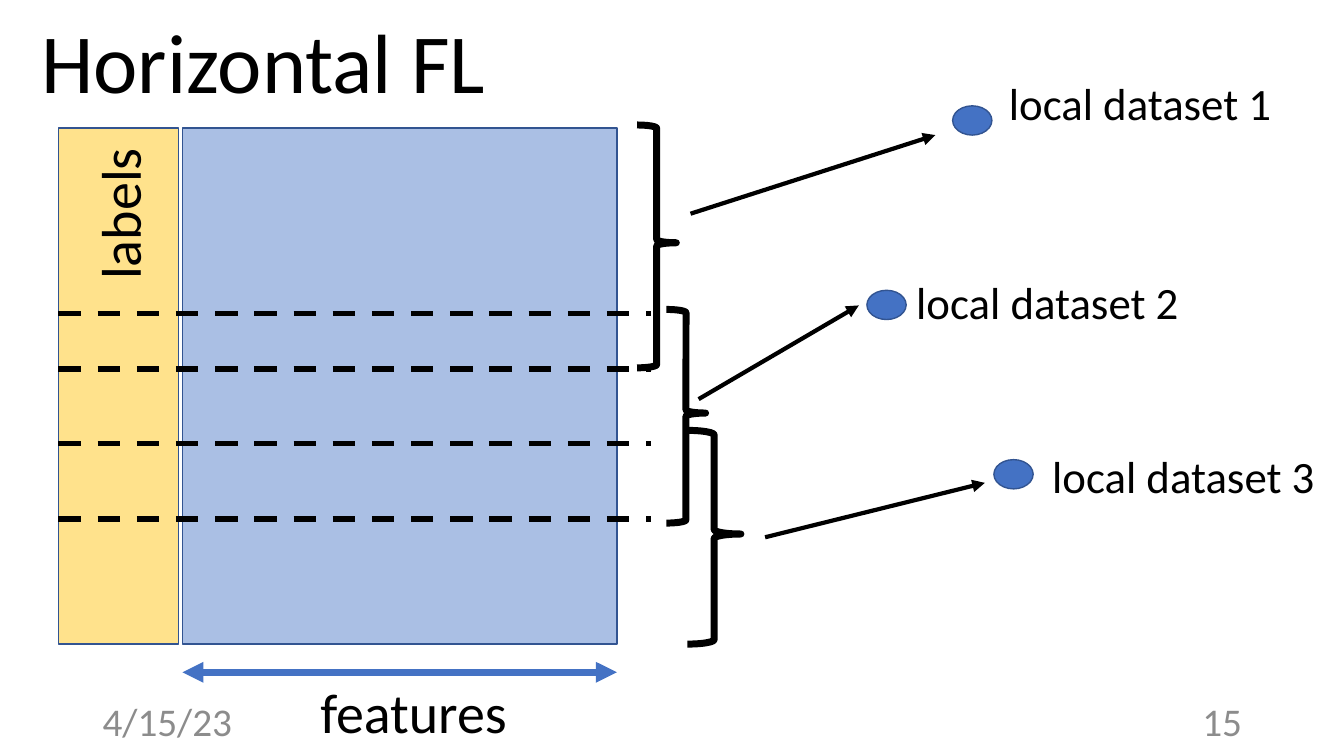
from pptx import Presentation
from pptx.dml.color import RGBColor as RGB
from pptx.enum.dml import MSO_LINE as Dash
from pptx.enum.shapes import MSO_CONNECTOR as Conn, MSO_SHAPE as Kind
from pptx.enum.text import MSO_ANCHOR as Anchor, MSO_AUTO_SIZE as Fit, PP_ALIGN as Align
from pptx.oxml.ns import qn
from pptx.util import Inches, Pt
from lxml.etree import SubElement as Sub

BLACK = RGB(0, 0, 0)
BLUE = RGB(0x44, 0x72, 0xC4)
NAVY = RGB(0x32, 0x54, 0x91)
GOLD = RGB(0xFF, 0xC0, 0x00)
GRAY = RGB(0x8C, 0x8C, 0x8C)
FONT = "Calibri"
WIDE, HIGH = Inches(13.33), Inches(7.5)


# Lengths are percent of the slide's width (x) and height (y)
def scale(box):
    return [int(n * (HIGH if i % 2 else WIDE) / 100) for i, n in enumerate(box)]


def write(shape, text, size, color=BLACK, align=Align.LEFT, anchor=Anchor.TOP):
    frame = shape.text_frame
    frame.auto_size = Fit.NONE
    frame.word_wrap = False
    frame.vertical_anchor = anchor
    para = frame.paragraphs[0]
    para.alignment = align
    run = para.add_run()
    run.text = text
    run.font.name = FONT
    run.font.size = Pt(size)
    run.font.color.rgb = color
    return frame


def label(slide, box, text, size, **look):
    return write(slide.shapes.add_textbox(*scale(box)), text, size, **look)


def draw(slide, kind, box, fill, edge=NAVY, width=1, alpha=None):
    shape = slide.shapes.add_shape(kind, *scale(box))
    shape.shadow.inherit = False
    shape.line.color.rgb = edge
    shape.line.width = Pt(width)
    if fill is None:
        shape.fill.background()
        return shape
    shape.fill.solid()
    shape.fill.fore_color.rgb = fill
    if alpha:
        tint = shape.fill._xPr.find(qn("a:solidFill"))[0]
        Sub(tint, qn("a:alpha"), val=str(alpha * 1000))
    return shape


def rule(slide, ends, color, width, dash=None, heads=()):
    line = slide.shapes.add_connector(Conn.STRAIGHT, *scale(ends))
    line.line.color.rgb = color
    line.line.width = Pt(width)
    if dash:
        line.line.dash_style = dash
    edge = line.line._get_or_add_ln()
    for head in heads:
        Sub(edge, qn(f"a:{head}"), type="triangle")
    Sub(line._element.spPr, qn("a:effectLst"))


def heading(slide, box):
    title = slide.shapes.title
    title.left, title.top, title.width, title.height = scale(box)
    write(title, "Horizontal FL", 60)


def table(slide, box):
    x, y, w, h = box
    side, left = 8.92, 9.23
    # Label and feature columns
    draw(slide, Kind.RECTANGLE, (x + left, y, w - left, h), BLUE, alpha=45)
    draw(slide, Kind.RECTANGLE, (x, y, side, h), GOLD, alpha=45)
    frame = label(slide, (x, y, side, h / 3), "labels", 40,
                  align=Align.CENTER, anchor=Anchor.MIDDLE)
    frame._txBody.bodyPr.set("vert", "vert270")
    # Row cuts
    for cut in (24.54, 31.87, 41.74, 51.74):
        rule(slide, (x, y + cut, x + w + 2.55, y + cut), BLACK, 4, Dash.DASH)
    # Feature span
    span = y + h + 3.73
    rule(slide, (x + left, span, x + w, span), BLUE, 5, heads=("headEnd", "tailEnd"))
    label(slide, (x + 18.75, span, 15.53, 10.27), "features", 40)


# Start is relative to the brace; tip and name are relative to the dot
def dataset(slide, box, text, start, dot, tip, name):
    brace = draw(slide, Kind.RIGHT_BRACE, box, None, BLACK, 5)
    brace.adjustments[0] = 0.083
    brace.adjustments[1] = 0.485
    x, y = dot
    draw(slide, Kind.OVAL, (x, y, 2.92, 3.87), BLUE)
    ends = (box[0] + start[0], box[1] + start[1], x + tip[0], y + tip[1])
    rule(slide, ends, BLACK, 3, heads=("tailEnd",))
    label(slide, (x + name[0], y + name[1], 22.05, 8.53), text, 32)


def footer(slide, box):
    x, y, w, h = box
    part = 22.5
    look = dict(color=GRAY, anchor=Anchor.MIDDLE)
    label(slide, (x, y, part, h), "4/15/23", 28, **look)
    label(slide, (x + w - part, y, part, h), "15", 28, align=Align.RIGHT, **look)


def main():
    deck = Presentation()
    deck.slide_width, deck.slide_height = WIDE, HIGH
    slide = deck.slides.add_slide(deck.slide_layouts[5])
    heading(slide, (2.32, 0.53, 36.3, 14.8))
    table(slide, (4.35, 16.93, 41.55, 68.27))
    dataset(slide, (47.4, 16.53, 2.92, 32.13), "local dataset 1",
            (3.98, 11.74), (70.88, 14), (-1.28, 3.87), (3.45, -4.67))
    dataset(slide, (49.58, 40.93, 2.92, 28.27), "local dataset 2",
            (2.4, 11.87), (64.5, 38.4), (-0.6, 2), (2.93, -2.67))
    dataset(slide, (51.15, 56.93, 3.98, 28.27), "local dataset 3",
            (5.78, 14.14), (73.95, 60.8), (-0.67, 3.07), (3.6, -2.13))
    footer(slide, (6.9, 92.67, 86.25, 5.33))
    deck.save("out.pptx")


if __name__ == "__main__":
    main()
